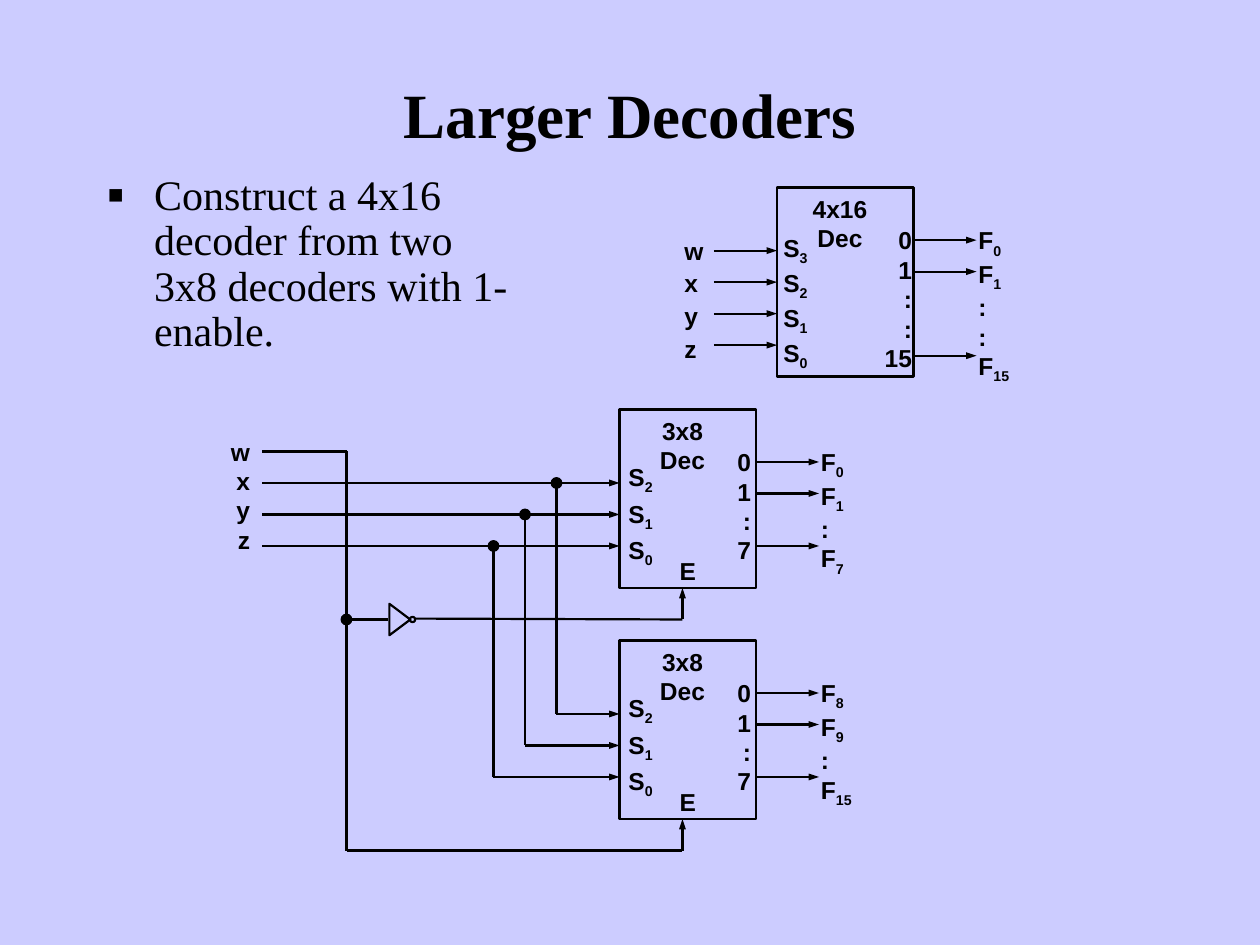
from dataclasses import dataclass

from lxml import etree
from pptx import Presentation
from pptx.dml.color import RGBColor
from pptx.enum.shapes import MSO_CONNECTOR, MSO_SHAPE
from pptx.enum.text import MSO_ANCHOR, PP_ALIGN
from pptx.oxml.ns import qn
from pptx.util import Pt

LEFT, CENTER, RIGHT = PP_ALIGN.LEFT, PP_ALIGN.CENTER, PP_ALIGN.RIGHT
BOTTOM, STRAIGHT = MSO_ANCHOR.BOTTOM, MSO_CONNECTOR.STRAIGHT
RECT, OVAL, MERGE = MSO_SHAPE.RECTANGLE, MSO_SHAPE.OVAL, MSO_SHAPE.FLOWCHART_MERGE
BLACK, LAVENDER = "000000", "CCCCFF"
SERIF, SANS = "Times New Roman", "Arial"
STEP = 18  # distance between neighbouring wires


@dataclass
class Decoder:
    left: float
    top: float
    height: float
    size: str
    selects: list[str]
    select_at: tuple[float, float]
    select_gap: float
    numbers: list[str]
    number_dx: float
    outputs: list[str]
    output_ys: tuple[float, ...]
    enable: bool = True


def rgb(value: str) -> RGBColor:
    return RGBColor.from_string(value)


def add_text(x: float, y: float, w: float, h: float, lines: list[str],
             align=LEFT, size: float = 14, font: str = SANS,
             bold: bool = True, gap: float = 0):
    """Add a text box; an underscore in a line starts a subscript."""
    tf = slide.shapes.add_textbox(Pt(x), Pt(y), Pt(w), Pt(h)).text_frame
    tf.word_wrap = True
    for i, line in enumerate(lines):
        p = tf.paragraphs[0] if i == 0 else tf.add_paragraph()
        p.alignment = align
        if i and gap:
            p.space_before = Pt(gap)
        for j, part in enumerate(line.split("_")):
            r = p.add_run()
            r.text = part
            r.font.size, r.font.name, r.font.bold = Pt(size), font, bold
            r.font.color.rgb = rgb(BLACK)
            if j:
                r._r.get_or_add_rPr().set("baseline", "-25000")
    return tf


def add_outline(kind, x: float, y: float, w: float, h: float,
                weight: float = 1.25, filled: bool = False, turn: float = 0) -> None:
    sp = slide.shapes.add_shape(kind, Pt(x), Pt(y), Pt(w), Pt(h))
    sp.shadow.inherit = False
    sp.rotation = turn
    if filled:
        sp.fill.solid()
        sp.fill.fore_color.rgb = rgb(BLACK)
    else:
        sp.fill.background()
    sp.line.color.rgb = rgb(BLACK)
    sp.line.width = Pt(weight)


def add_wire(x1: float, y1: float, x2: float, y2: float, arrow: bool = False) -> None:
    cn = slide.shapes.add_connector(STRAIGHT, Pt(x1), Pt(y1), Pt(x2), Pt(y2))
    cn.line.color.rgb = rgb(BLACK)
    cn.line.width = Pt(1.25)
    if arrow:
        etree.SubElement(cn.line._get_or_add_ln(), qn("a:tailEnd"),
                         type="triangle", w="sm", len="med")
    etree.SubElement(cn._element.spPr, qn("a:effectLst"))


def add_dot(x: float, y: float) -> None:
    add_outline(OVAL, x - 3, y - 3, 6, 6, 0.75, filled=True)


def draw_decoder(d: Decoder) -> None:
    x, y = d.left, d.top
    add_outline(RECT, x, y, 78, d.height, 1.5)
    add_text(x + 6, y, 60, 41, [d.size, "Dec"], CENTER)
    dx, dy = d.select_at
    add_text(x + dx, y + dy, 34, 23 * len(d.selects), d.selects, gap=d.select_gap)
    add_text(x + d.number_dx, y + 18, 31, 75, d.numbers, RIGHT)
    add_text(x + 108, y + 18, 42, 82, d.outputs)
    for out_y in d.output_ys:
        add_wire(x + 78, y + out_y, x + 114, y + out_y, arrow=True)
    if d.enable:
        add_text(x + 24, y + 80, 30, 24, ["E"], CENTER)


prs = Presentation()
prs.slide_width, prs.slide_height = Pt(720), Pt(540)
slide = prs.slides.add_slide(prs.slide_layouts[6])
slide.background.fill.solid()
slide.background.fill.fore_color.rgb = rgb(LAVENDER)

# Title and task
title = add_text(54, 0, 612, 90, ["Larger Decoders"], CENTER, 36, SERIF)
title.vertical_anchor = BOTTOM
task = add_text(54, 96, 252, 120,
                ["Construct a 4x16 decoder from two 3x8 decoders with 1-enable."],
                size=24, font=SERIF, bold=False)
p = task.paragraphs[0]
p.line_spacing = 0.9
pPr = p._p.get_or_add_pPr()
pPr.set("marL", str(Pt(27)))
pPr.set("indent", str(Pt(-27)))
color = etree.SubElement(pPr, qn("a:buClr"))
etree.SubElement(color, qn("a:srgbClr"), val=BLACK)
etree.SubElement(pPr, qn("a:buSzPct"), val="120000")
etree.SubElement(pPr, qn("a:buFont"), typeface=SERIF)
etree.SubElement(pPr, qn("a:buChar"), char="▪")

# Decoders; the large one packs its selects tighter to keep S0 inside
SELECTS = ["S_3", "S_2", "S_1", "S_0"]
large = Decoder(444, 107.25, 108, "4x16", SELECTS, (-3.5, 22.5), 0.8,
                ["0", "1", ":", ":", "15"], 53.25,
                ["F_0", "F_1", ":", ":", "F_15"], (30, 48, 96), enable=False)
upper, lower = [
    Decoder(354, top, 102, "3x8", SELECTS[1:], (-2, 26.5), 1.8,
            ["0", "1", ":", "7"], 51.25, outputs, (30, 48, 78))
    for top, outputs in ((234, ["F_0", "F_1", ":", "F_7"]),
                         (366, ["F_8", "F_9", ":", "F_15"]))
]
for decoder in (large, upper, lower):
    draw_decoder(decoder)

# Inputs of the large decoder
INPUTS = ["w", "x", "y", "z"]
add_text(384, 131.25, 24, 80, INPUTS, gap=1.8)
for i in range(len(INPUTS)):
    wire_y = large.top + 36 + i * STEP
    add_wire(408, wire_y, large.left, wire_y, arrow=True)

# Inputs x, y, z shared by both small decoders
add_text(120, 246, 30, 75, INPUTS, RIGHT)
for i in range(3):
    tap_x = 318 - i * STEP
    upper_y, lower_y = (d.top + 42 + i * STEP for d in (upper, lower))
    add_wire(150, upper_y, upper.left, upper_y, arrow=True)
    add_wire(tap_x, upper_y, tap_x, lower_y)
    add_wire(tap_x, lower_y, lower.left, lower_y, arrow=True)
    add_dot(tap_x, upper_y)

# Input w drives the enables, inverted for the upper decoder
W_X, ENABLE_X, INVERTER_Y, BOTTOM_Y = 198, 390, 354, 486
add_wire(150, 258, W_X, 258)
add_wire(W_X, 258, W_X, BOTTOM_Y)
add_wire(W_X, BOTTOM_Y, ENABLE_X, BOTTOM_Y)
add_wire(W_X, INVERTER_Y, 222, INVERTER_Y)
add_dot(W_X, INVERTER_Y)
add_outline(MERGE, 219.5, INVERTER_Y - 6, 18, 12, turn=270)
add_outline(OVAL, 234.25, INVERTER_Y - 1.5, 3, 3, turn=270)
add_wire(237.5, INVERTER_Y - 0.5, ENABLE_X, INVERTER_Y)
for decoder, from_y in ((upper, INVERTER_Y), (lower, BOTTOM_Y)):
    add_wire(ENABLE_X, from_y, ENABLE_X, decoder.top + decoder.height, arrow=True)

prs.save("out.pptx")
